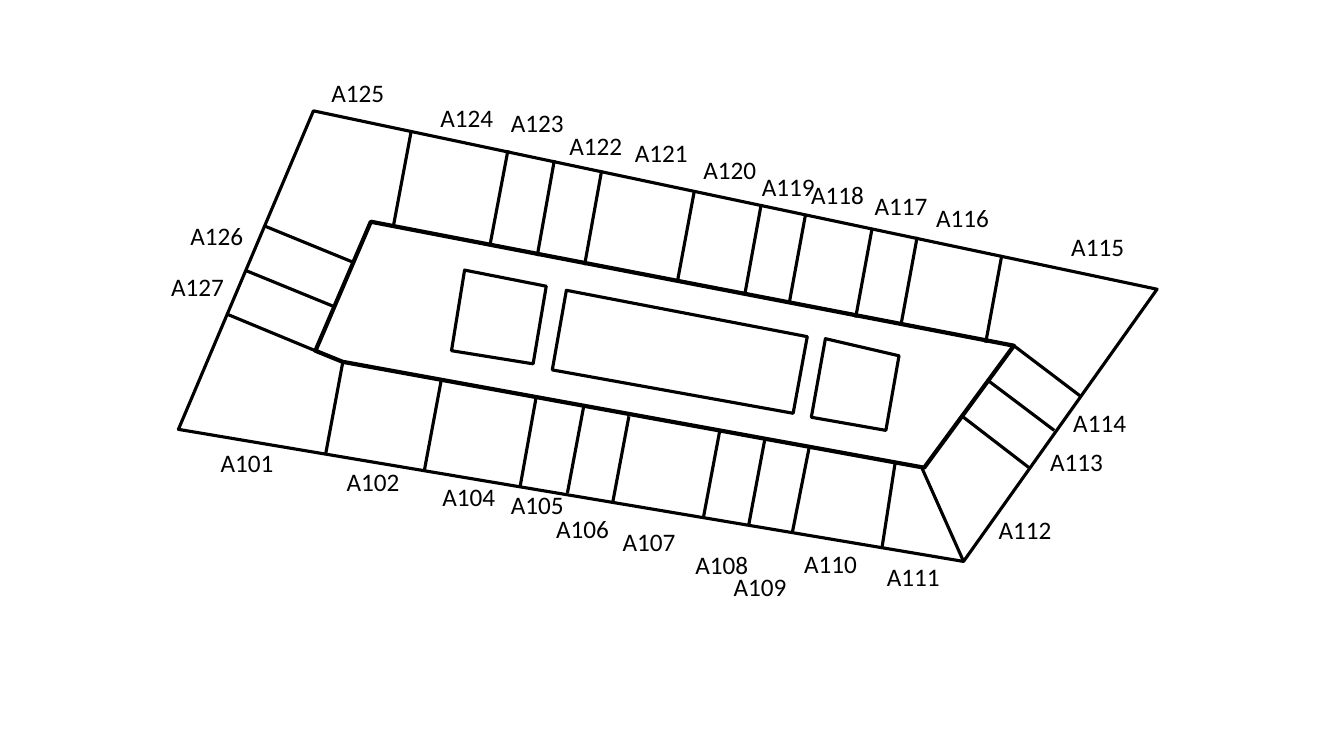
"""Draw a floor plan with numbered rooms around a central core."""
from dataclasses import dataclass
from itertools import chain

from lxml.etree import SubElement
from pptx import Presentation
from pptx.dml.color import RGBColor as Rgb
from pptx.enum.text import MSO_AUTO_SIZE as Fit
from pptx.oxml.ns import qn
from pptx.util import Cm, Pt

INK = "000000"
THIN, THICK = 2.25, 3
FONT = {"name": "Calibri", "size": Pt(18)}
FRAME = {"word_wrap": False, "auto_size": Fit.SHAPE_TO_FIT_TEXT}
Point = tuple[float, float]


@dataclass(frozen=True)
class Block:
    points: tuple[Point, ...]
    weight: float = THIN


@dataclass(frozen=True)
class Wall:
    start: Point
    end: Point


@dataclass(frozen=True)
class Label:
    text: str
    left: float
    top: float


BLOCKS = (
    Block(((3.11, 1.1), (1.77, 4.26), (9.56, 5.57), (11.48, 2.87))),
    Block(((3.68, 2.2), (3.13, 3.48), (3.4, 3.59), (9.17, 4.64), (10.06, 3.43)), THICK),
)
ROOMS = (
    Block(((4.61, 2.68), (4.48, 3.48), (5.29, 3.61), (5.42, 2.84))),
    Block(((5.62, 2.88), (5.48, 3.67), (7.87, 4.1), (8.01, 3.34))),
    Block(((8.19, 3.36), (8.05, 4.14), (8.79, 4.27), (8.92, 3.53))),
)
NORTH = (
    Wall((4.08, 1.3), (3.9, 2.26)),
    Wall((5.04, 1.49), (4.86, 2.44)),
    Wall((5.5, 1.59), (5.33, 2.54)),
    Wall((5.97, 1.69), (5.8, 2.63)),
    Wall((6.89, 1.89), (6.72, 2.8)),
    Wall((7.55, 2.04), (7.39, 2.92)),
    Wall((7.99, 2.14), (7.83, 3.01)),
    Wall((8.65, 2.28), (8.49, 3.15)),
    Wall((9.1, 2.35), (8.94, 3.22)),
    Wall((9.94, 2.53), (9.78, 3.4)),
)
EAST = (
    Wall((10.06, 3.43), (10.72, 3.93)),
    Wall((9.81, 3.78), (10.46, 4.27)),
    Wall((9.56, 4.14), (10.21, 4.64)),
    Wall((9.15, 4.65), (9.56, 5.57)),
)
SOUTH = (
    Wall((8.88, 4.6), (8.75, 5.44)),
    Wall((8.03, 4.43), (7.86, 5.29)),
    Wall((7.59, 4.35), (7.43, 5.2)),
    Wall((7.14, 4.28), (6.98, 5.13)),
    Wall((6.24, 4.13), (6.08, 4.98)),
    Wall((5.79, 4.04), (5.63, 4.89)),
    Wall((5.32, 3.94), (5.16, 4.83)),
    Wall((4.38, 3.76), (4.21, 4.67)),
    Wall((3.4, 3.6), (3.23, 4.51)),
)
WEST = (
    Wall((3.13, 3.48), (2.26, 3.12)),
    Wall((3.31, 3.04), (2.43, 2.68)),
    Wall((3.5, 2.6), (2.62, 2.24)),
)
SPOTS = (
    (2.09, 4.39), (3.34, 4.58), (4.29, 4.73), (4.97, 4.81), (5.42, 5.04),
    (6.08, 5.17), (6.8, 5.4), (7.18, 5.62), (7.88, 5.39), (8.7, 5.52),
    (9.81, 5.05), (10.32, 4.38), (10.55, 3.99), (10.53, 2.25), (9.19, 1.96),
    (8.58, 1.84), (7.95, 1.73), (7.46, 1.65), (6.88, 1.48), (6.2, 1.31),
    (5.55, 1.24), (4.97, 1.02), (4.27, 0.97), (3.19, 0.72), (1.79, 2.14),
    (1.6, 2.64),
)
CODES = chain((101, 102), range(104, 128))
LABELS = [Label(f"A{code}", *spot) for code, spot in zip(CODES, SPOTS)]


def scale(*inches: float) -> list[Cm]:
    """Turn plan inches into lengths."""
    return [Cm(2.54 * inch) for inch in inches]


def paint(target, code: str) -> None:
    """Set a colour from its hex string."""
    target.rgb = Rgb.from_string(code)


def format_all(target, values: dict) -> None:
    """Set each named value on the target."""
    for name, value in values.items():
        setattr(target, name, value)


def ink_line(line, weight: float) -> None:
    """Give a line its colour and weight."""
    line.fill.solid()
    paint(line.fill.fore_color, INK)
    line.width = Pt(weight)


def add_block(slide, block: Block) -> None:
    """Draw a closed outline without fill."""
    first, *rest = [scale(*point) for point in block.points]
    pen = slide.shapes.build_freeform(*first)
    pen.add_line_segments(rest, close=True)
    shape = pen.convert_to_shape()
    shape.shadow.inherit = False
    shape.fill.background()
    ink_line(shape.line, block.weight)


def add_wall(slide, wall: Wall) -> None:
    """Draw a straight wall."""
    line = slide.shapes.add_connector(1, *scale(*wall.start, *wall.end))
    ink_line(line.line, THIN)
    SubElement(line._element.spPr, qn("a:effectLst"))


def add_label(slide, label: Label) -> None:
    """Write a room number."""
    box = slide.shapes.add_textbox(*scale(label.left, label.top, 0.73, 0.4))
    frame = box.text_frame
    format_all(frame, FRAME)
    run = frame.paragraphs[0].add_run()
    run.text = label.text
    format_all(run.font, FONT)
    paint(run.font.color, INK)


def main() -> None:
    """Build and save the slide."""
    deck = Presentation()
    format_all(deck, {"slide_width": Cm(33.87), "slide_height": Cm(19.05)})
    slide = deck.slides.add_slide(deck.slide_layouts[6])
    for block in BLOCKS:
        add_block(slide, block)
    for wall in NORTH + EAST + SOUTH + WEST:
        add_wall(slide, wall)
    for room in ROOMS:
        add_block(slide, room)
    for label in LABELS:
        add_label(slide, label)
    deck.save("out.pptx")


if __name__ == "__main__":
    main()
